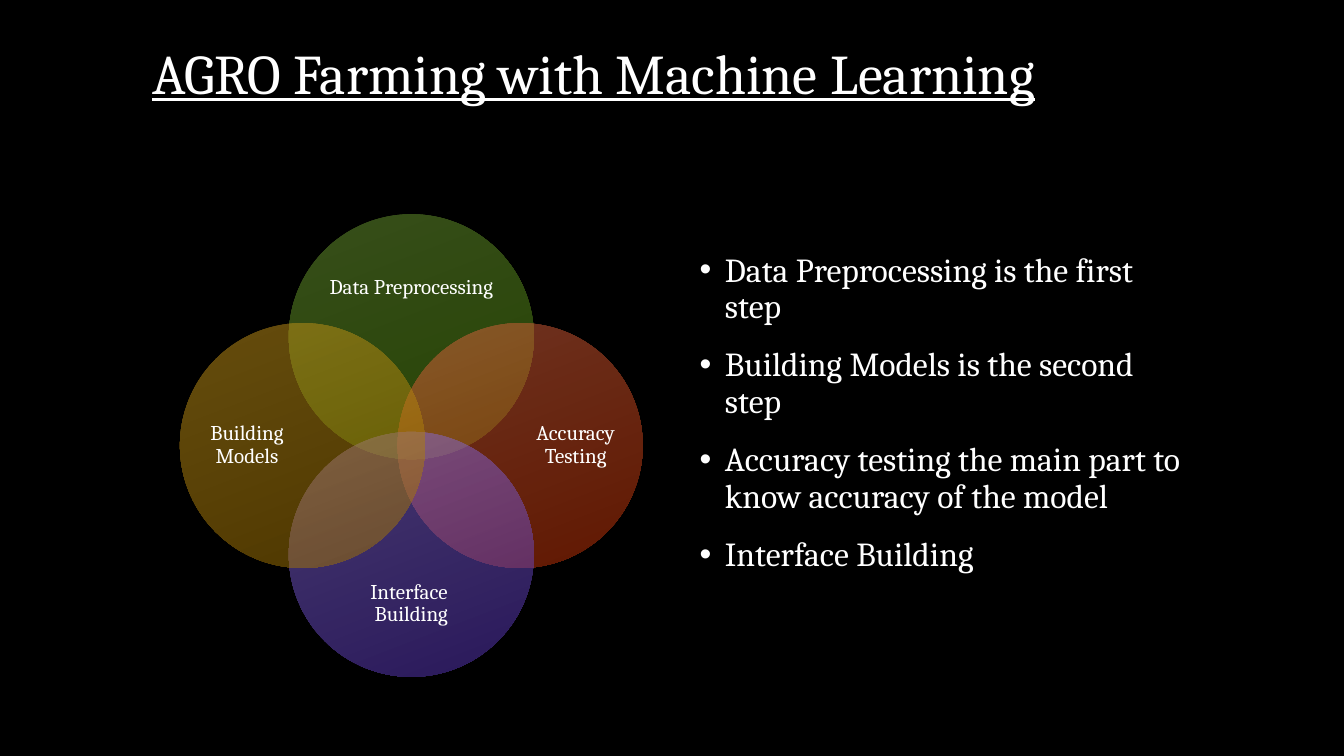
"""Build the slide on farming with machine learning: a four-circle Venn and a list."""
from dataclasses import dataclass

from lxml import etree
from pptx import Presentation
from pptx.dml.color import RGBColor
from pptx.enum import shapes, text
from pptx.oxml import ns
from pptx import util as u


@dataclass(frozen=True)
class Theme:
    back: str = "000000"
    ink: str = "FFFFFF"
    font: str = "Cambria"
    title: int = 40
    body: int = 24
    label: int = 15
    alpha: int = 50000
    angle: int = 291


@dataclass(frozen=True)
class Circle:
    label: str
    dx: int
    dy: int
    light: str
    dark: str


THEME = Theme()
MID_X, MID_Y = 4.08, 4.42
SIZE, STEP = 2.43, 1.08
CIRCLES = [
    Circle("Data Preprocessing", 0, -1, "6E9D35", "4E8808"),
    Circle("Accuracy Testing", 1, 0, "DE6742", "C23002"),
    Circle("Interface \vBuilding", 0, 1, "8F73DF", "5331B6"),
    Circle("Building Models", -1, 0, "CB991B", "9D7000"),
]
STEPS = [
    "Data Preprocessing is the first step",
    "Building Models is the second step",
    "Accuracy testing the main part to know accuracy of the model",
    "Interface Building",
]


def place(shape, left: float, top: float, width: float, height: float) -> None:
    """Move and size a shape, in inches."""
    shape.left, shape.top = u.Inches(left), u.Inches(top)
    shape.width, shape.height = u.Inches(width), u.Inches(height)


def style(para, size: int, align, pitch: float) -> None:
    """Format a paragraph and its runs."""
    para.alignment = align
    para.line_spacing = pitch
    for run in para.runs:
        run.font.name = THEME.font
        run.font.size = u.Pt(size)
        run.font.color.rgb = RGBColor.from_string(THEME.ink)


def bullet(para) -> None:
    """Give a paragraph a hanging round bullet."""
    props = para._p.get_or_add_pPr()
    props.set("marL", str(u.Inches(0.25)))
    props.set("indent", str(u.Inches(-0.25)))
    etree.SubElement(props, ns.qn("a:buFont"), typeface="Arial")
    etree.SubElement(props, ns.qn("a:buChar"), char="•")


def draw_circle(group, item: Circle) -> None:
    """Draw one see-through circle and its label."""
    half = SIZE / 2
    disc = group.shapes.add_shape(
        shapes.MSO_SHAPE.OVAL,
        u.Inches(MID_X + item.dx * STEP - half),
        u.Inches(MID_Y + item.dy * STEP - half),
        u.Inches(SIZE), u.Inches(SIZE))
    disc.shadow.inherit = False
    disc.line.fill.background()
    disc.fill.gradient()
    disc.fill.gradient_angle = THEME.angle
    for stop, shade in zip(disc.fill.gradient_stops, (item.light, item.dark)):
        stop.color.rgb = RGBColor.from_string(shade)
    for node in disc.element.spPr.iter(ns.qn("a:srgbClr")):
        etree.SubElement(node, ns.qn("a:alpha"), val=str(THEME.alpha))

    width, height = (0.93, 1.87) if item.dx else (1.87, 0.77)
    box = group.shapes.add_textbox(
        u.Inches(MID_X + item.dx * 1.63 - width / 2),
        u.Inches(MID_Y + item.dy * 1.57 - height / 2),
        u.Inches(width), u.Inches(height))
    frame = box.text_frame
    frame.word_wrap = True
    frame.vertical_anchor = text.MSO_ANCHOR.MIDDLE
    frame.margin_left = frame.margin_right = 0
    frame.margin_top = frame.margin_bottom = 0
    frame.text = item.label
    style(frame.paragraphs[0], THEME.label, text.PP_ALIGN.CENTER, 0.9)


def fill_title(title) -> None:
    """Write the underlined title."""
    place(title, 1.41, 0.42, 10.5, 0.67)
    frame = title.text_frame
    frame.text = "AGRO Farming with Machine Learning"
    frame.auto_size = text.MSO_AUTO_SIZE.NONE
    frame.vertical_anchor = text.MSO_ANCHOR.BOTTOM
    para = frame.paragraphs[0]
    style(para, THEME.title, text.PP_ALIGN.LEFT, 0.8)
    para.runs[0].font.underline = True


def fill_list(body) -> None:
    """Write the bulleted steps."""
    place(body, 6.84, 2.46, 5.08, 3.92)
    frame = body.text_frame
    frame.text = "\n".join(STEPS)
    frame.auto_size = text.MSO_AUTO_SIZE.NONE
    frame.vertical_anchor = text.MSO_ANCHOR.TOP
    for rank, para in enumerate(frame.paragraphs):
        bullet(para)
        style(para, THEME.body, text.PP_ALIGN.LEFT, 0.9)
        para.space_before = u.Pt(16 if rank else 0)


def main() -> None:
    """Build and save the deck."""
    deck = Presentation()
    deck.slide_width, deck.slide_height = u.Inches(13.33), u.Inches(7.5)
    slide = deck.slides.add_slide(deck.slide_layouts[1])
    slide.background.fill.solid()
    slide.background.fill.fore_color.rgb = RGBColor.from_string(THEME.back)
    group = slide.shapes.add_group_shape()
    for item in CIRCLES:
        draw_circle(group, item)
    fill_list(slide.placeholders[1])
    fill_title(slide.shapes.title)
    deck.save("out.pptx")


if __name__ == "__main__":
    main()
